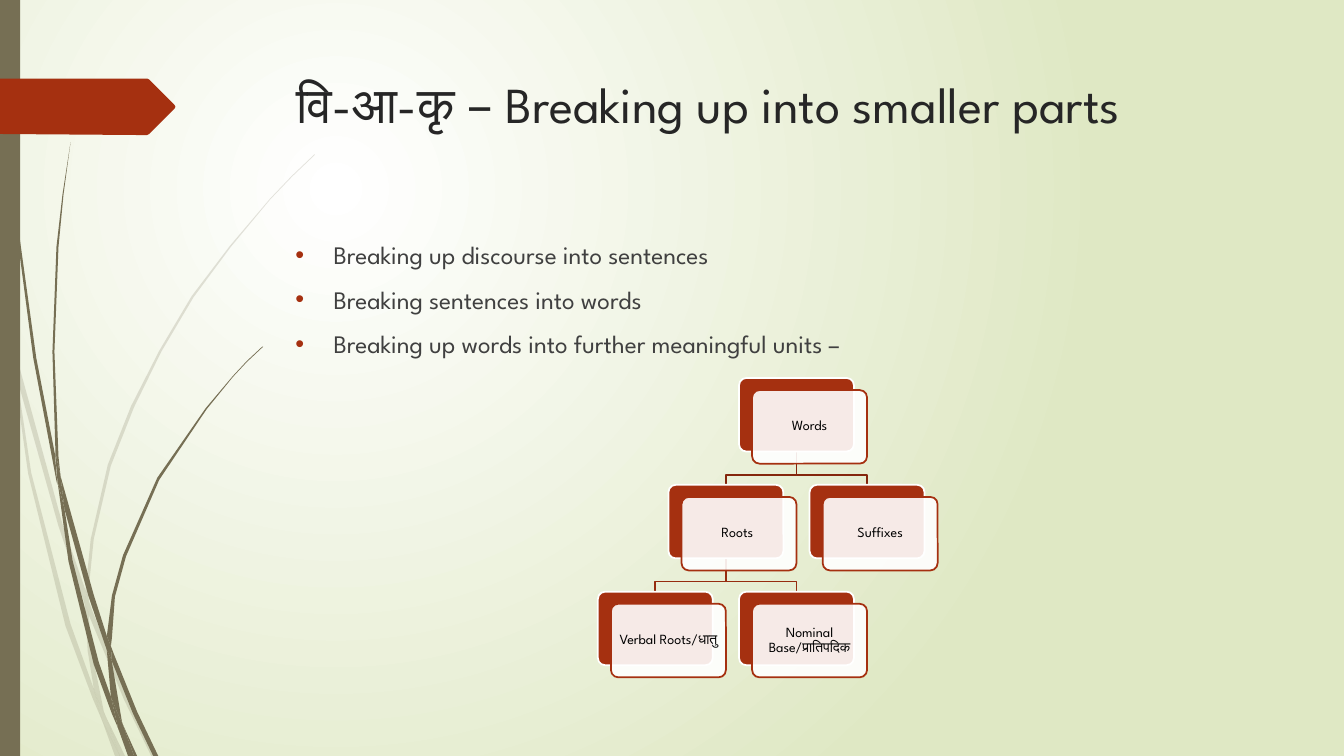
from lxml.etree import SubElement
from pptx import Presentation
from pptx.dml.color import RGBColor
from pptx.enum.shapes import MSO_SHAPE
from pptx.enum.text import MSO_ANCHOR, PP_ALIGN
from pptx.oxml.ns import qn
from pptx.util import Inches, Pt

FONT = "League Spartan"
RED, OLIVE, WHITE = "A53010", "766F54", "FFFFFF"
LEFT, STEP, TOP, PITCH = 5.93, 0.7, 3.75, 1.06
WIDE, HIGH = 1.14, 0.73

FAINT = [
    "0.11,3.5 0.09,3.22 0,2.82 0,2.99 0.1,3.44",
    "0.58,5.22 0.84,5.99 0.85,5.86 0.62,5.2 0.14,3.45 0.17,3.76",
    "0.92,6.07 0.88,5.96 0.88,6.1 1.23,6.94 1.5,7.5 1.55,7.5 1.27,6.92",
    "1.19,7.5 1.24,7.5 1.05,7.11",
    "0.93,6.83 0.7,6.19 0.31,4.69 0.17,3.76 0.11,3.5 0.28,4.7 0.65,6.21 0.92,6.93 1.01,7.14 0.99,7.07",
    "0.84,5.99 0.87,6.46 0.93,6.83 0.96,6.92 1.05,7.11 1.03,7.06 0.91,6.46 0.88,6.1 0.88,6.08",
    "0.88,5.84 0.93,5.35 1.1,4.62 1.33,4.04 1.6,3.49 1.92,2.95 2.29,2.45 2.68,1.98 2.9,1.75 3.12,1.54 "
    "3.12,1.53 2.89,1.75 2.68,1.97 2.28,2.44 1.9,2.94 1.58,3.48 1.3,4.03 1.07,4.61 0.9,5.35 0.85,5.84 "
    "0.85,5.86 0.88,5.96",
    "1.01,7.14 1.14,7.5 1.19,7.5",
    "0.88,6.08 0.88,6.1 0.88,5.96 0.85,5.86 0.84,5.99",
    "0.96,6.92 0.93,6.83 0.99,7.07 1.01,7.14 1.19,7.5 1.05,7.11",
]
DARK = [
    "0.07,1.1 0.17,2.33 0.33,3.55 0.56,4.77 0.57,4.81 0.55,4.57 0.55,4.53 0.36,3.55 0.19,2.32 0.08,1.09 "
    "0.05,0.48 0.04,0 0.03,0 0.04,0.48",
    "0.88,5.92 1.06,6.45 1.06,6.33 1.06,6.31 0.93,5.9 0.6,4.72 0.64,5.05",
    "1.13,6.49 1.1,6.41 1.11,6.56 1.32,7.08 1.52,7.5 1.57,7.5 1.36,7.06",
    "1.1,6.91 0.98,6.57 0.72,5.56 0.64,5.05 0.57,4.77 0.68,5.57 0.93,6.59 1.11,7.08 1.17,7.22 1.16,7.17",
    "0.6,4.72 0.58,4.53 0.54,3.49 0.58,2.45 0.63,1.93 0.7,1.41 0.62,1.93 0.56,2.45 0.52,3.49 0.55,4.49",
    "1.33,7.5 1.36,7.5 1.22,7.19",
    "0.57,4.77 0.64,5.05 0.6,4.72 0.55,4.49 0.55,4.53",
    "1.11,6.33 1.14,5.92 1.25,5.52 1.58,4.76 2.05,4.06 2.31,3.74 2.45,3.59 2.61,3.44 2.6,3.44 2.45,3.58 "
    "2.31,3.73 2.04,4.05 1.56,4.74 1.22,5.51 1.11,5.91 1.06,6.31 1.1,6.41",
    "1.17,7.22 1.27,7.5 1.31,7.5",
    "1.06,6.45 1.1,6.91 1.16,7.06 1.22,7.19 1.21,7.16 1.11,6.56 1.09,6.51",
    "1.06,6.45 1.09,6.51 1.11,6.56 1.1,6.41 1.06,6.31 1.06,6.33",
    "1.16,7.06 1.1,6.91 1.16,7.17 1.17,7.22 1.3,7.5 1.33,7.5 1.22,7.19",
]
TAG = "1.73,1.08 1.48,1.33 1.46,1.34 1.36,1.34 0,1.33 0,0.78 1.46,0.78 1.48,0.79 1.73,1.04 1.74,1.06"

LINKS = [((2, 0), (3, 1), "84260D"), ((1, 1), (2, 2), "962C0F"),
         ((1, 1), (0, 2), "962C0F"), ((2, 0), (1, 1), "84260D")]
CARDS = [("Words", 2, 0), ("Roots ", 1, 1), ("Verbal Roots/धातु", 0, 2),
         ("Nominal Base/प्रातिपदिक", 2, 2), ("Suffixes", 3, 1)]


def tint(code):
    return RGBColor.from_string(code)


def put(target, values):
    for name, value in values.items():
        setattr(target, name, value)


def spot(col, row):
    return LEFT + STEP * col, TOP + PITCH * row


def points(text):
    return [tuple(map(float, pair.split(","))) for pair in text.split()]


class Deck:
    """Hold the style and the current slide, and draw each kind of element."""

    def __init__(self):
        self.show = Presentation()
        put(self.show, {"slide_width": Inches(13.33), "slide_height": Inches(7.5)})
        self.slide = self.show.slides.add_slide(self.show.slide_layouts[6])
        self.shapes = self.slide.shapes

    def glow(self, *codes):
        fill = self.slide.background.fill
        fill.gradient()
        for stop, code, place in zip(fill.gradient_stops, codes, (0, 1)):
            stop.color.rgb = tint(code)
            stop.position = place
        grad = self.slide._element.find(".//" + qn("a:gradFill"))
        grad.remove(grad.find(qn("a:lin")))
        ring = SubElement(grad, qn("a:path"), {"path": "circle"})
        SubElement(ring, qn("a:fillToRect"), {"l": "50000", "t": "50000", "r": "100000", "b": "100000"})

    def paint(self, shape, fill=None, line=None, alpha=100):
        shape.shadow.inherit = False
        if fill:
            shape.fill.solid()
            shape.fill.fore_color.rgb = tint(fill)
            if alpha < 100:
                code = shape._element.spPr.find(qn("a:solidFill")).find(qn("a:srgbClr"))
                SubElement(code, qn("a:alpha"), {"val": str(alpha * 1000)})
        else:
            shape.fill.background()
        if line:
            shape.line.color.rgb = tint(line)
            shape.line.width = Pt(1.25)
        else:
            shape.line.fill.background()

    def form(self, dots, close=True, **style):
        first, *rest = [(Inches(x), Inches(y)) for x, y in dots]
        pen = self.shapes.build_freeform(*first, scale=1.0)
        pen.add_line_segments(rest, close=close)
        self.paint(pen.convert_to_shape(), **style)

    def block(self, kind, *box, round=None, **style):
        shape = self.shapes.add_shape(kind, *map(Inches, box))
        if round:
            shape.adjustments[0] = round
        self.paint(shape, **style)

    def text(self, lines, *box, size, code, frame=None, para=None, bullet=None):
        body = self.shapes.add_textbox(*map(Inches, box)).text_frame
        put(body, {"word_wrap": True, **(frame or {})})
        body.text = "\n".join(lines)
        for item in body.paragraphs:
            put(item, para or {})
            put(item.runs[0].font, {"name": FONT, "size": Pt(size)})
            item.runs[0].font.color.rgb = tint(code)
            if bullet:
                props = item._p.get_or_add_pPr()
                put_in = Inches(0.38)
                props.set("marL", str(put_in))
                props.set("indent", str(-put_in))
                SubElement(SubElement(props, qn("a:buClr")), qn("a:srgbClr"), {"val": bullet})
                SubElement(props, qn("a:buFont"), {"typeface": "Arial"})
                SubElement(props, qn("a:buChar"), {"char": "•"})

    def link(self, start, end, code):
        (x, y), (far, low) = spot(*start), spot(*end)
        x, far, y = x + WIDE / 2, far + WIDE / 2, y + HIGH
        self.form([(x, y), (x, y + 0.23), (far, y + 0.23), (far, low)], close=False, line=code)

    def card(self, label, col, row):
        x, y = spot(col, row)
        kind = MSO_SHAPE.ROUNDED_RECTANGLE
        self.block(kind, x, y, WIDE, HIGH, round=0.1, fill=RED, line=WHITE)
        self.block(kind, x + 0.13, y + 0.12, WIDE, HIGH, round=0.1, fill=WHITE, line=RED, alpha=90)
        sides = ("left", "top", "right", "bottom")
        frame = {"margin_" + side: Inches(0.04) for side in sides}
        frame["vertical_anchor"] = MSO_ANCHOR.MIDDLE
        self.text([label], x + 0.15, y + 0.14, 1.1, 0.68, size=10, code="000000", frame=frame,
                  para={"alignment": PP_ALIGN.CENTER, "line_spacing": 0.9})


def main():
    deck = Deck()
    deck.glow(WHITE, "DFE8C4")
    for blades, alpha in ((FAINT, 20), (DARK, 100)):
        for blade in blades:
            deck.form(points(blade), fill=OLIVE, alpha=alpha)
    deck.block(MSO_SHAPE.RECTANGLE, 0, 0, 0.2, 7.5, fill=OLIVE)
    deck.form(points(TAG), fill=RED)
    deck.text(["वि-आ-कृ – Breaking up into smaller parts"], 2.84, 0.68, 9.75, 1.4, size=36, code="262626")
    deck.text(["Breaking up discourse into sentences", "Breaking sentences into words",
               "Breaking up words into further meaningful units –"],
              2.83, 2.33, 9.75, 4.13, size=18, code="404040", para={"space_before": Pt(10)}, bullet=RED)
    for link in LINKS:
        deck.link(*link)
    for card in CARDS:
        deck.card(*card)
    deck.show.save("out.pptx")


if __name__ == "__main__":
    main()
